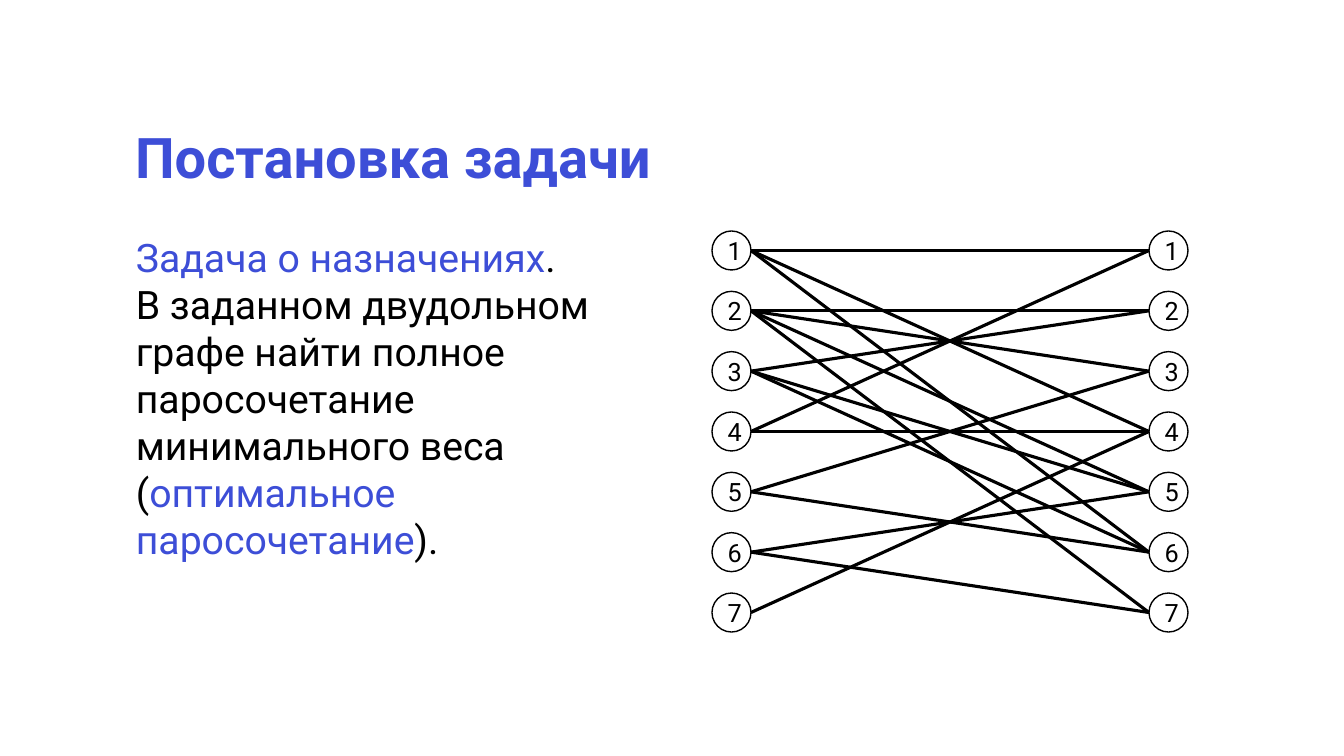
from dataclasses import dataclass

from lxml import etree
from pptx import Presentation
from pptx import util as u
from pptx.dml.color import RGBColor
from pptx.enum import shapes, text
from pptx.oxml.ns import qn

PX = 914400 / 100.8


@dataclass(frozen=True)
class Theme:
    font: str = "Roboto"
    accent: RGBColor = RGBColor(0x3D, 0x4E, 0xD7)
    ink: RGBColor = RGBColor(0, 0, 0)
    paper: RGBColor = RGBColor(0xFF, 0xFF, 0xFF)
    title_size: u.Pt = u.Pt(40)
    body_size: u.Pt = u.Pt(28)
    node_size: u.Pt = u.Pt(18)
    node_line: u.Pt = u.Pt(1)
    edge_line: u.Pt = u.Pt(2.25)


THEME = Theme()

TITLE = "Постановка задачи"
STATEMENT = [
    [("Задача о назначениях", THEME.accent), (".", THEME.ink)],
    [
        ("В заданном двудольном графе найти полное паросочетание "
         "минимального веса (", THEME.ink),
        ("оптимальное паросочетание", THEME.accent),
        (").", THEME.ink),
    ],
]

# Left vertex -> adjacent right vertices
GRAPH = {
    1: [1, 4, 6],
    2: [2, 3, 5, 7],
    3: [2, 5, 6],
    4: [1, 4],
    5: [3, 6],
    6: [5, 7],
    7: [4],
}
LEFT_X, RIGHT_X = 712, 1149
FIRST_Y, LAST_Y = 231, 593
DIAMETER = 39


def px(*lengths):
    return [u.Emu(round(length * PX)) for length in lengths]


def apply(target, formats):
    for name, value in formats.items():
        setattr(target, name, value)


def add_run(paragraph, words, size, color, bold=False):
    run = paragraph.add_run()
    run.text = words
    apply(run.font, {"name": THEME.font, "size": size, "bold": bold})
    run.font.color.rgb = color


def add_title(slide):
    title = slide.shapes.title
    box = dict(zip(("left", "top", "width", "height"), px(125, 125, 1094, 81)))
    apply(title, box)
    apply(title.text_frame, {
        "word_wrap": True,
        "auto_size": text.MSO_AUTO_SIZE.NONE,
        "vertical_anchor": text.MSO_ANCHOR.TOP,
    })
    paragraph = title.text_frame.paragraphs[0]
    apply(paragraph, {"alignment": text.PP_ALIGN.LEFT, "line_spacing": 0.9})
    add_run(paragraph, TITLE, THEME.title_size, THEME.accent, bold=True)


def add_statement(slide):
    frame = slide.shapes.add_textbox(*px(126, 228, 546, 343)).text_frame
    apply(frame, {
        "word_wrap": True,
        "auto_size": text.MSO_AUTO_SIZE.SHAPE_TO_FIT_TEXT,
    })
    for index, runs in enumerate(STATEMENT):
        paragraph = frame.add_paragraph() if index else frame.paragraphs[0]
        for words, color in runs:
            add_run(paragraph, words, THEME.body_size, color)


def vertex_top(number):
    return FIRST_Y + (number - 1) * (LAST_Y - FIRST_Y) / (len(GRAPH) - 1)


def add_vertex(slide, left, number):
    vertex = slide.shapes.add_shape(
        shapes.MSO_SHAPE.OVAL,
        *px(left, vertex_top(number), DIAMETER, DIAMETER))
    vertex.shadow.inherit = False
    vertex.fill.solid()
    vertex.fill.fore_color.rgb = THEME.paper
    vertex.line.color.rgb = THEME.ink
    vertex.line.width = THEME.node_line
    vertex.text_frame.vertical_anchor = text.MSO_ANCHOR.MIDDLE
    paragraph = vertex.text_frame.paragraphs[0]
    paragraph.alignment = text.PP_ALIGN.CENTER
    add_run(paragraph, str(number), THEME.node_size, THEME.ink)


def add_edge(slide, start, end):
    radius = DIAMETER / 2
    edge = slide.shapes.add_connector(
        shapes.MSO_CONNECTOR.STRAIGHT,
        *px(LEFT_X + DIAMETER, vertex_top(start) + radius,
            RIGHT_X, vertex_top(end) + radius))
    edge.line.color.rgb = THEME.ink
    edge.line.width = THEME.edge_line
    etree.SubElement(edge._element.spPr, qn("a:effectLst"))


def add_graph(slide):
    for left in (LEFT_X, RIGHT_X):
        for number in GRAPH:
            add_vertex(slide, left, number)
    for start, ends in GRAPH.items():
        for end in ends:
            add_edge(slide, start, end)


def main():
    deck = Presentation()
    deck.slide_width, deck.slide_height = px(1344, 756)
    slide = deck.slides.add_slide(deck.slide_layouts.get_by_name("Title Only"))
    add_title(slide)
    add_graph(slide)
    add_statement(slide)
    deck.save("out.pptx")


if __name__ == "__main__":
    main()
